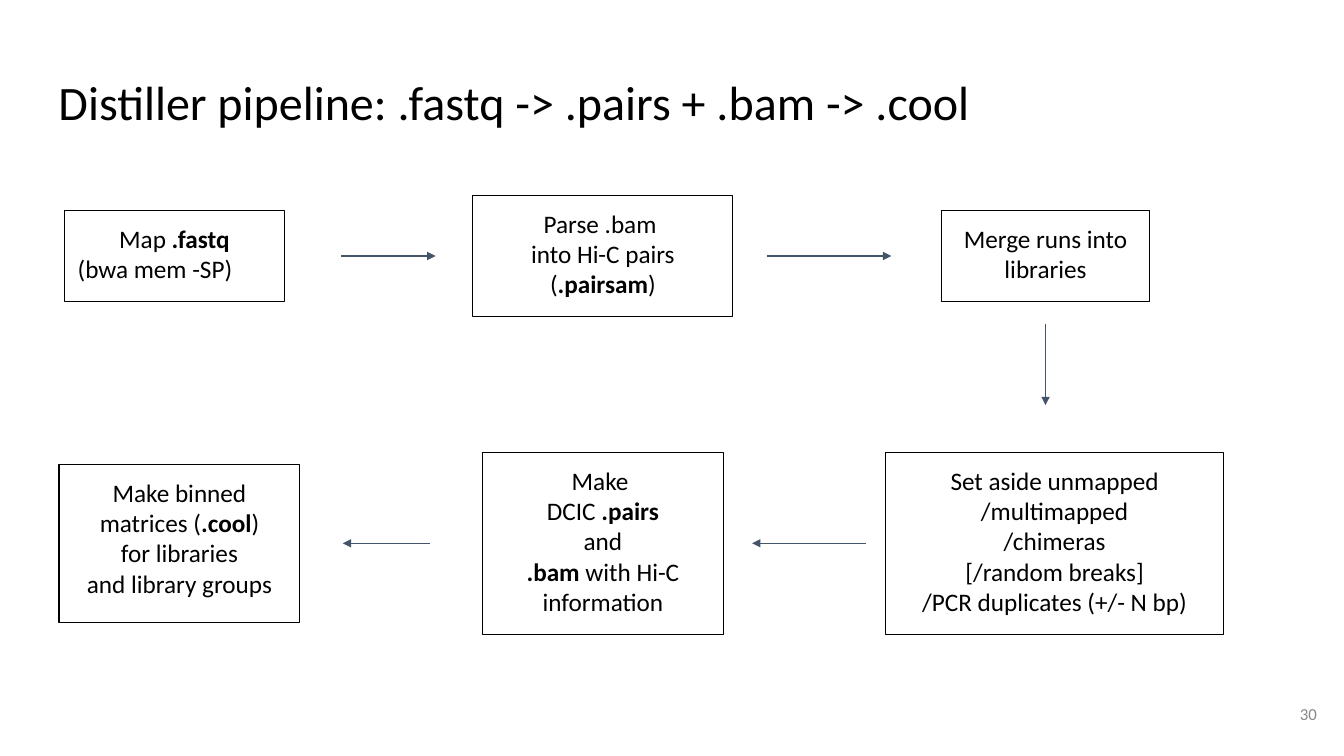
from lxml import etree
from pptx import Presentation
from pptx.dml.color import RGBColor
from pptx.enum import shapes, text
from pptx.oxml.ns import qn
from pptx.util import Inches, Pt

# Content: ** marks bold, a leading < marks a left-aligned line
TITLE = "Distiller pipeline: .fastq -> .pairs + .bam -> .cool"
PAGE = "30"
TOP, BOTTOM = 2.54, 5.39  # centre lines of the two rows
STEPS = [  # centre x, row, width, height, lines
    (1.73, TOP, 2.18, 0.91, ["Map **.fastq**", "<(bwa mem -SP)"]),
    (5.98, TOP, 2.58, 1.21,
     ["Parse .bam ", "into Hi-C pairs", "(**.pairsam**)"]),
    (10.37, TOP, 2.06, 0.91, ["Merge runs into libraries"]),
    (10.46, BOTTOM, 3.35, 1.81,
     ["Set aside unmapped", "/multimapped", "/chimeras",
      "[/random breaks]", "/PCR duplicates (+/- N bp)"]),
    (5.98, BOTTOM, 2.39, 1.81,
     ["Make ", "DCIC **.pairs**", " and ",
      "**.bam** with Hi-C information"]),
    (1.78, BOTTOM, 2.39, 1.57,
     ["Make binned", "matrices (**.cool**)", "for libraries",
      "and library groups"]),
]
ARROWS = [  # start x, y, end x, y
    (3.38, TOP, 4.32, TOP),
    (7.61, TOP, 8.84, TOP),
    (10.37, 3.21, 10.37, 4.02),
    (8.59, BOTTOM, 7.46, BOTTOM),
    (4.27, BOTTOM, 3.4, BOTTOM),
]
BLACK = RGBColor(0x00, 0x00, 0x00)
WHITE = RGBColor(0xFF, 0xFF, 0xFF)
SLATE = RGBColor(0x44, 0x54, 0x6A)
GREY = RGBColor(0x88, 0x88, 0x88)


def write(sp, lines, size=18, color=BLACK, align=text.PP_ALIGN.CENTER,
          anchor=text.MSO_ANCHOR.TOP, inset=0.13, spacing=1.0):
    tf = sp.text_frame
    tf.word_wrap = True
    tf.auto_size = text.MSO_AUTO_SIZE.NONE
    tf.vertical_anchor = anchor
    tf.margin_left = tf.margin_right = Inches(inset)
    tf.margin_top = tf.margin_bottom = Inches(inset)
    for i, line in enumerate(lines):
        p = tf.paragraphs[0] if i == 0 else tf.add_paragraph()
        p.alignment = text.PP_ALIGN.LEFT if line.startswith("<") else align
        p.line_spacing = spacing
        for j, part in enumerate(line.removeprefix("<").split("**")):
            if part:
                r = p.add_run()
                r.text = part
                r.font.name, r.font.size = "Calibri", Pt(size)
                r.font.bold = j % 2 == 1
                r.font.color.rgb = color


prs = Presentation()
prs.slide_width, prs.slide_height = Inches(13.33), Inches(7.5)
s = prs.slides.add_slide(prs.slide_layouts[5])

# Title
title = s.shapes.title
title.left, title.top = Inches(0.45), Inches(0.65)
title.width, title.height = Inches(12.42), Inches(0.84)
write(title, [TITLE], size=34.3, align=text.PP_ALIGN.LEFT, spacing=0.9)

# Pipeline steps
for x, y, w, h, lines in STEPS:
    sp = s.shapes.add_shape(shapes.MSO_SHAPE.RECTANGLE, Inches(x - w / 2),
                            Inches(y - h / 2), Inches(w), Inches(h))
    sp.shadow.inherit = False
    sp.fill.solid()
    sp.fill.fore_color.rgb = WHITE
    sp.line.color.rgb = BLACK
    sp.line.width = Pt(0.75)
    write(sp, lines)

# Arrows between steps
for ends in ARROWS:
    cx = s.shapes.add_connector(shapes.MSO_CONNECTOR.STRAIGHT,
                                *map(Inches, ends))
    cx.line.color.rgb = SLATE
    cx.line.width = Pt(0.75)
    etree.SubElement(cx.line._get_or_add_ln(), qn("a:tailEnd"), type="triangle")
    etree.SubElement(cx._element.spPr, qn("a:effectLst"))

# Page number
number = s.shapes.add_textbox(*map(Inches, (12.77, 6.89, 0.39, 0.39)))
write(number, [PAGE], size=12, color=GREY, align=text.PP_ALIGN.RIGHT,
      anchor=text.MSO_ANCHOR.MIDDLE, inset=0.1)

prs.save("out.pptx")
